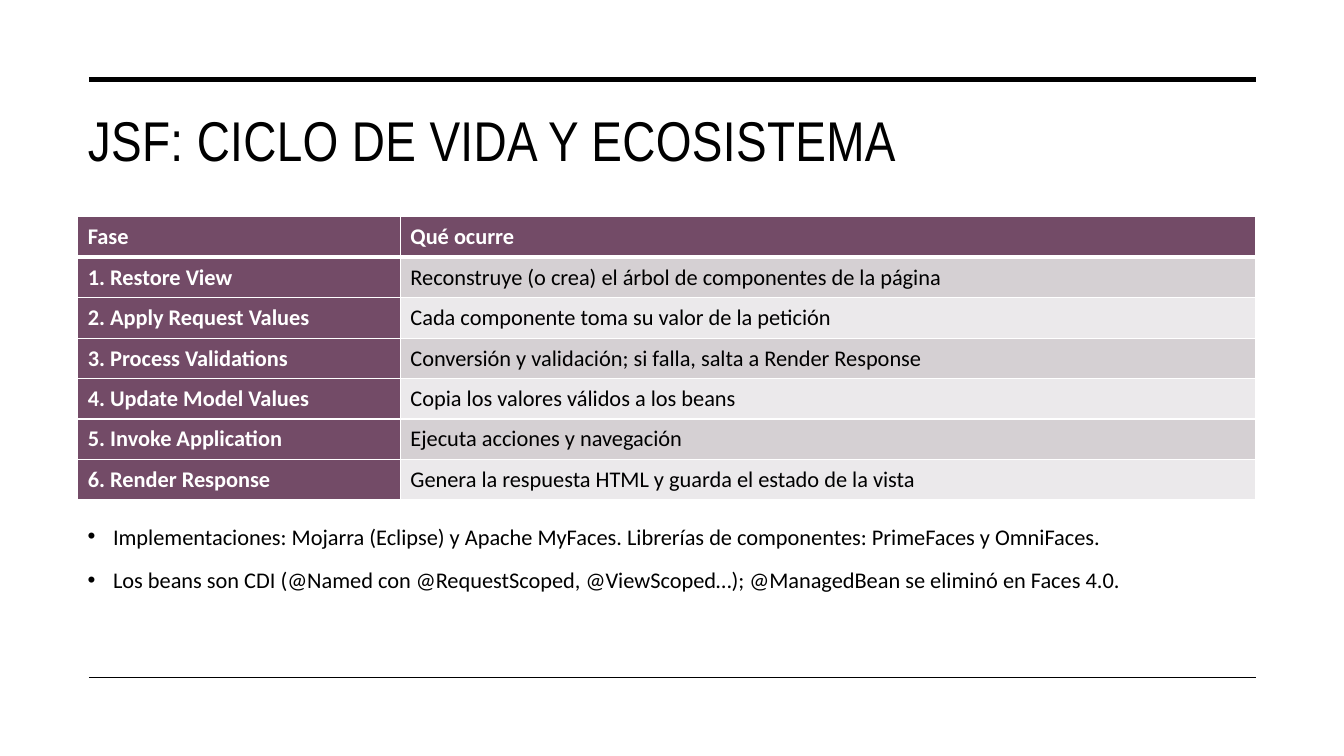
from lxml.etree import SubElement
from pptx import Presentation
from pptx.dml.color import RGBColor
from pptx.enum.shapes import MSO_CONNECTOR
from pptx.enum.text import MSO_ANCHOR, MSO_AUTO_SIZE, PP_ALIGN
from pptx.oxml.ns import qn
from pptx.util import Cm, Pt

BLACK = RGBColor(0x00, 0x00, 0x00)
WHITE = RGBColor(0xFF, 0xFF, 0xFF)
PLUM = RGBColor(0x73, 0x4B, 0x67)
BANDS = (RGBColor(0xD5, 0xD0, 0xD3), RGBColor(0xEB, 0xE9, 0xEB))

LEFT, WIDTH = Cm(1.96), Cm(29.69)
RULE_LEFT, RULE_RIGHT = Cm(2.24), Cm(31.65)

PHASES = [
    ("Fase", "Qué ocurre"),
    ("1. Restore View", "Reconstruye (o crea) el árbol de componentes de la página"),
    ("2. Apply Request Values", "Cada componente toma su valor de la petición"),
    ("3. Process Validations", "Conversión y validación; si falla, salta a Render Response"),
    ("4. Update Model Values", "Copia los valores válidos a los beans"),
    ("5. Invoke Application", "Ejecuta acciones y navegación"),
    ("6. Render Response", "Genera la respuesta HTML y guarda el estado de la vista"),
]
NOTES = [
    "Implementaciones: Mojarra (Eclipse) y Apache MyFaces. "
    "Librerías de componentes: PrimeFaces y OmniFaces.",
    "Los beans son CDI (@Named con @RequestScoped, @ViewScoped…); "
    "@ManagedBean se eliminó en Faces 4.0.",
]


class SlideBuilder:
    heading_font = "Arial Narrow"
    body_font = "Calibri"
    body_size = 16

    def __init__(self, prs):
        self.s = prs.slides.add_slide(prs.slide_layouts[5])

    def run(self, p, text, color=BLACK, bold=False, font=body_font, size=body_size):
        r = p.add_run()
        r.text = text
        r.font.name, r.font.size, r.font.bold = font, Pt(size), bold
        r.font.color.rgb = color
        return r

    def rule(self, y, weight):
        line = self.s.shapes.add_connector(
            MSO_CONNECTOR.STRAIGHT, RULE_LEFT, y, RULE_RIGHT, y)
        line.line.color.rgb = BLACK
        line.line.width = Pt(weight)
        SubElement(line._element.spPr, qn("a:effectLst"))

    def title(self, text, top, height):
        sp = self.s.shapes.title
        sp.left, sp.top, sp.width, sp.height = LEFT, top, WIDTH, height
        tf = sp.text_frame
        tf.word_wrap = True
        tf.auto_size = MSO_AUTO_SIZE.NONE
        tf.vertical_anchor = MSO_ANCHOR.TOP
        p = tf.paragraphs[0]
        p.alignment = PP_ALIGN.LEFT
        r = self.run(p, text, font=self.heading_font, size=40)
        r.font._element.set("spc", "30")

    def borders(self, cell, top, bottom):
        tc_pr = cell._tc.get_or_add_tcPr()
        for side, weight in (("L", 1), ("R", 1), ("T", top), ("B", bottom)):
            ln = SubElement(tc_pr, qn(f"a:ln{side}"), w=str(Pt(weight)))
            fill = SubElement(ln, qn("a:solidFill"))
            SubElement(fill, qn("a:srgbClr"), val=str(WHITE))

    def table(self, rows, top, row_height, col_widths):
        table = self.s.shapes.add_table(
            len(rows), len(col_widths), LEFT, top, WIDTH, row_height * len(rows)).table
        table.first_col = True
        table.horz_banding = False
        for column, width in zip(table.columns, col_widths):
            column.width = width
        for i, texts in enumerate(rows):
            table.rows[i].height = row_height
            for j, text in enumerate(texts):
                cell = table.cell(i, j)
                heading = i == 0 or j == 0
                # The header row is set off by a thicker border
                self.borders(cell, 3 if i == 1 else 1, 3 if i == 0 else 1)
                cell.fill.solid()
                cell.fill.fore_color.rgb = PLUM if heading else BANDS[(i - 1) % 2]
                cell.vertical_anchor = MSO_ANCHOR.MIDDLE
                self.run(cell.text_frame.paragraphs[0], text,
                         WHITE if heading else BLACK, heading)

    def bullets(self, items, top, height):
        tf = self.s.shapes.add_textbox(LEFT, top, WIDTH, height).text_frame
        tf.word_wrap = True
        for i, text in enumerate(items):
            p = tf.add_paragraph() if i else tf.paragraphs[0]
            p_pr = p._p.get_or_add_pPr()
            p_pr.set("marL", str(Cm(0.64)))
            p_pr.set("indent", str(-Cm(0.64)))
            SubElement(p_pr, qn("a:buFont"), typeface="Arial")
            SubElement(p_pr, qn("a:buChar"), char="•")
            p.line_spacing = 1.1
            if i:
                p.space_before = Pt(10)
            self.run(p, text)


def main():
    prs = Presentation()
    prs.slide_width, prs.slide_height = Cm(33.87), Cm(19.05)
    slide = SlideBuilder(prs)

    # Frame rules
    slide.rule(Cm(2.01), 3.5)
    slide.rule(Cm(17.07), 1)

    # Title
    slide.title("JSF: CICLO DE VIDA Y ECOSISTEMA", Cm(2.54), Cm(3.63))

    # Life-cycle phases
    slide.table(PHASES, Cm(5.46), Cm(1.02), (Cm(8.13), Cm(21.56)))

    # Ecosystem notes
    slide.bullets(NOTES, Cm(12.98), Cm(3.81))

    prs.save("out.pptx")


if __name__ == "__main__":
    main()
